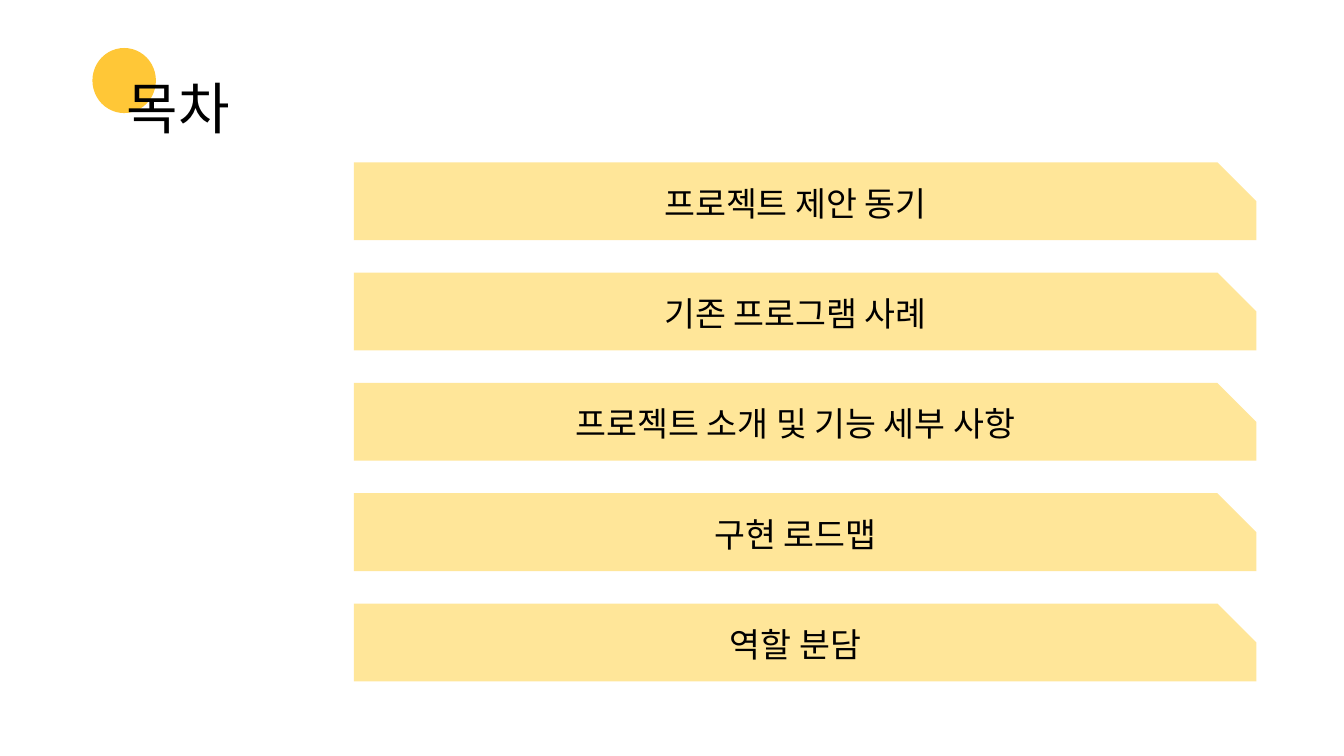
from dataclasses import dataclass

from lxml.etree import SubElement
from pptx import Presentation
from pptx.dml.color import RGBColor
from pptx.enum.shapes import MSO_SHAPE
from pptx.enum.text import MSO_ANCHOR, PP_ALIGN
from pptx.oxml.ns import qn
from pptx.shapes.autoshape import Shape
from pptx.slide import Slide
from pptx.util import Cm, Pt

FONT = "Noto Sans CJK KR"
BLACK = RGBColor(0x00, 0x00, 0x00)
AMBER = RGBColor(0xFF, 0xC7, 0x37)
PALE_YELLOW = RGBColor(0xFF, 0xE6, 0x99)

TOPICS = [
    "프로젝트 제안 동기",
    "기존 프로그램 사례",
    "프로젝트 소개 및 기능 세부 사항",
    "구현 로드맵",
    "역할 분담",
]
FIRST_BAR_TOP = 4.09
BAR_STEP = 2.78


@dataclass(frozen=True)
class Box:
    """Position and size in centimetres."""
    left: float
    top: float
    width: float
    height: float

    def lengths(self) -> tuple[Cm, Cm, Cm, Cm]:
        return Cm(self.left), Cm(self.top), Cm(self.width), Cm(self.height)


def add_filled_shape(slide: Slide, kind: MSO_SHAPE, box: Box, color: RGBColor) -> Shape:
    s = slide.shapes.add_shape(kind, *box.lengths())
    s.shadow.inherit = False
    s.fill.solid()
    s.fill.fore_color.rgb = color
    s.line.fill.background()
    return s


def write_text(s: Shape, text: str, size: int, frame_format: dict, paragraph_format: dict) -> None:
    tf = s.text_frame
    for name, value in frame_format.items():
        setattr(tf, name, value)
    p = tf.paragraphs[0]
    for name, value in paragraph_format.items():
        setattr(p, name, value)
    r = p.add_run()
    r.text = text
    for name, value in {"name": FONT, "size": Pt(size)}.items():
        setattr(r.font, name, value)
    r.font.color.rgb = BLACK
    # Hangul takes its typeface from the East Asian font
    SubElement(r.font._element, qn("a:ea"), typeface=FONT)


def add_title(slide: Slide, text: str, box: Box) -> None:
    tb = slide.shapes.add_textbox(*box.lengths())
    write_text(tb, text, 40,
               {"word_wrap": True, "vertical_anchor": MSO_ANCHOR.MIDDLE},
               {"alignment": PP_ALIGN.LEFT, "line_spacing": 0.9})


def add_topic_bar(slide: Slide, text: str, box: Box) -> None:
    s = add_filled_shape(slide, MSO_SHAPE.SNIP_1_RECTANGLE, box, PALE_YELLOW)
    s.adjustments[0] = 0.5
    write_text(s, text, 24,
               {"word_wrap": True, "vertical_anchor": MSO_ANCHOR.MIDDLE,
                "margin_left": Cm(0.25), "margin_right": Cm(0.25),
                "margin_top": Cm(0), "margin_bottom": Cm(0.41)},
               {"alignment": PP_ALIGN.CENTER})


def main() -> None:
    prs = Presentation()
    prs.slide_width, prs.slide_height = Cm(33.87), Cm(19.05)
    slide = prs.slides.add_slide(prs.slide_layouts[6])

    add_filled_shape(slide, MSO_SHAPE.OVAL, Box(2.33, 1.21, 1.6, 1.64), AMBER)
    add_title(slide, "목차", Box(2.95, 0.97, 29.21, 3.68))
    for i, topic in enumerate(TOPICS):
        add_topic_bar(slide, topic, Box(8.98 - 0.06, FIRST_BAR_TOP + i * BAR_STEP, 22.74, 1.96))

    prs.save("out.pptx")


if __name__ == "__main__":
    main()
